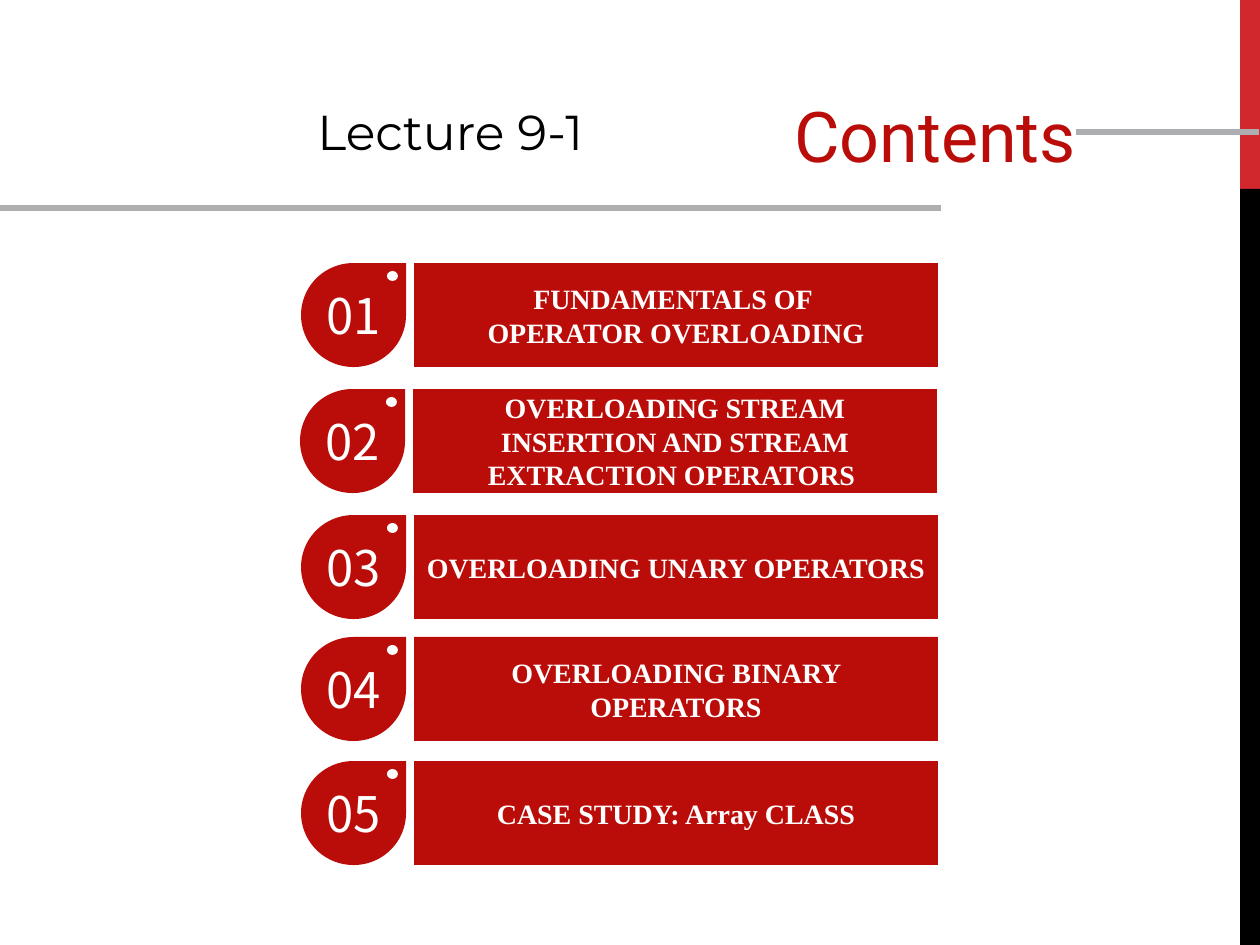
"""Build the contents slide of Lecture 9-1."""
from dataclasses import dataclass

from lxml.etree import SubElement
from pptx import Presentation
from pptx.dml.color import RGBColor
from pptx.enum.shapes import MSO_CONNECTOR, MSO_SHAPE
from pptx.enum.text import MSO_ANCHOR, PP_ALIGN
from pptx.oxml.ns import qn
from pptx.util import Emu, Pt


def px(count):
    return Emu(round(count * 914400 / 126))


@dataclass(frozen=True)
class Theme:
    red: str = "BA0D09"
    edge: str = "D1282E"
    black: str = "000000"
    white: str = "FFFFFF"
    gray: str = "ACAEB0"
    head: int = 40
    large: int = 28
    label: int = 16
    rule: int = 3


class Deck:
    def __init__(self, theme):
        self.theme = theme
        self.file = Presentation()
        self.file.slide_width, self.file.slide_height = px(1260), px(945)
        self.slide = self.file.slides.add_slide(self.file.slide_layouts[6])

    def shape(self, kind, box, fill):
        item = self.slide.shapes.add_shape(kind, *map(px, box))
        item.shadow.inherit = False
        item.fill.solid()
        item.fill.fore_color.rgb = RGBColor.from_string(fill)
        item.line.fill.background()
        return item

    def label(self, item, text, font, size, color, align, bold=False):
        frame = item.text_frame
        frame.text = text
        frame.word_wrap = True
        for part in frame.paragraphs:
            part.alignment = align
            for run in part.runs:
                run.font.name = font
                run.font.size = Pt(size)
                run.font.bold = bold
                run.font.color.rgb = RGBColor.from_string(color)
        return frame

    def text(self, box, *style):
        item = self.slide.shapes.add_textbox(*map(px, box))
        return self.label(item, *style)

    def line(self, left, right, top):
        item = self.slide.shapes.add_connector(
            MSO_CONNECTOR.STRAIGHT, px(left), px(top), px(right), px(top))
        item.line.color.rgb = RGBColor.from_string(self.theme.gray)
        item.line.width = Pt(self.theme.rule)
        SubElement(item._element.spPr, qn("a:effectLst"))

    def topic(self, left, top, number, title):
        theme = self.theme
        drop = self.shape(MSO_SHAPE.TEAR, (left, top, 105, 104), theme.red)
        frame = self.label(drop, number, "Noto Sans CJK JP", theme.large,
                           theme.white, PP_ALIGN.CENTER)
        frame.margin_left = frame.margin_right = 0
        frame.margin_top = frame.margin_bottom = 0
        frame.vertical_anchor = MSO_ANCHOR.MIDDLE
        self.shape(MSO_SHAPE.OVAL, (left + 86, top + 8, 11, 10), theme.white)
        bar = self.shape(MSO_SHAPE.RECTANGLE, (left + 113, top, 524, 104),
                         theme.red)
        frame = self.label(bar, title, "Times New Roman", theme.label,
                           theme.white, PP_ALIGN.CENTER, True)
        frame.vertical_anchor = MSO_ANCHOR.MIDDLE


def main():
    theme = Theme()
    deck = Deck(theme)
    deck.shape(MSO_SHAPE.RECTANGLE, (1240, 0, 20, 189), theme.edge)
    deck.shape(MSO_SHAPE.RECTANGLE, (1240, 189, 20, 756), theme.black)
    head = deck.text((631, 92, 457, 146), "Contents", "Roboto", theme.head,
                     theme.red, PP_ALIGN.RIGHT)
    head.margin_top = 0
    deck.line(1076, 1259, 132)
    deck.line(0, 941, 208)
    deck.text((305, 95, 334, 72), "Lecture 9-1", "Montserrat", theme.large,
              theme.black, PP_ALIGN.LEFT)
    topics = [
        (301, 263, "FUNDAMENTALS OF \vOPERATOR OVERLOADING"),
        (300, 389, "OVERLOADING STREAM INSERTION AND STREAM "
                   "EXTRACTION OPERATORS "),
        (301, 515, "OVERLOADING UNARY OPERATORS"),
        (301, 637, "OVERLOADING BINARY OPERATORS"),
        (301, 761, "CASE STUDY: Array CLASS"),
    ]
    for order, (left, top, title) in enumerate(topics, 1):
        deck.topic(left, top, f"{order:02}", title)
    deck.file.save("out.pptx")


if __name__ == "__main__":
    main()
